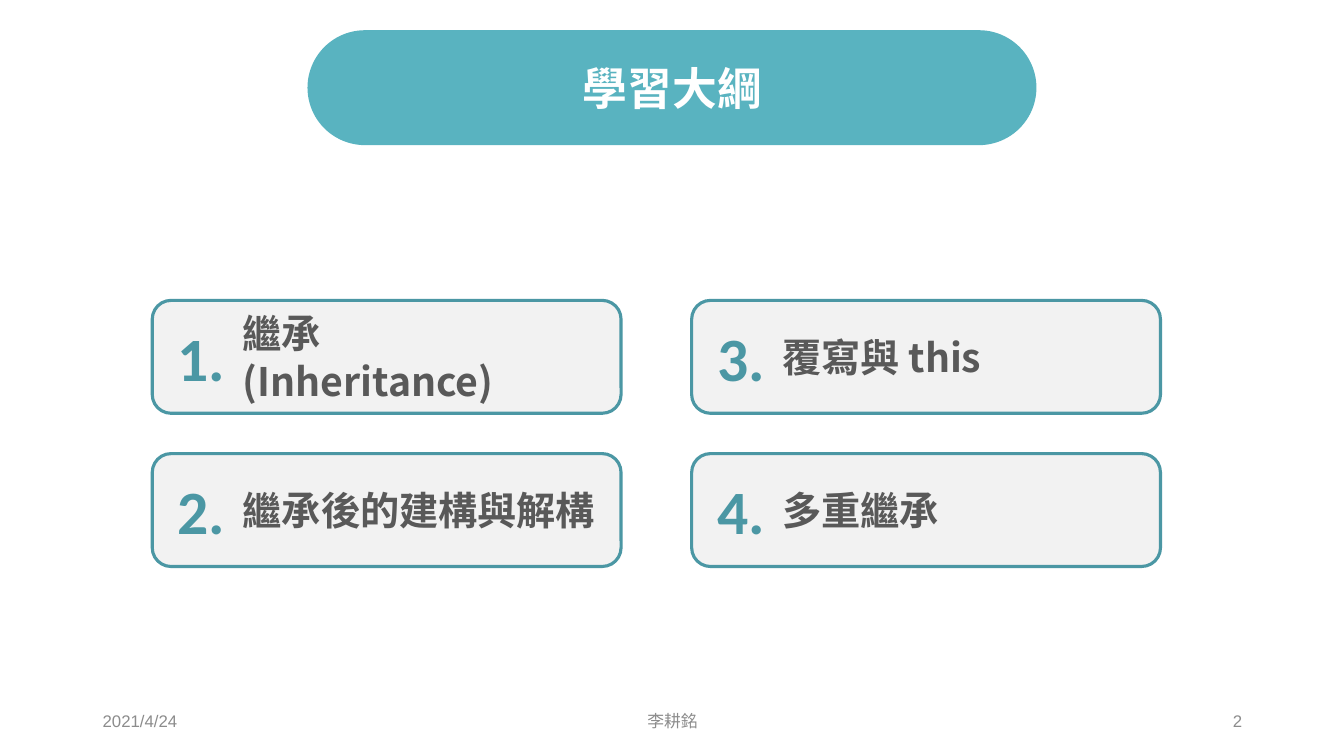
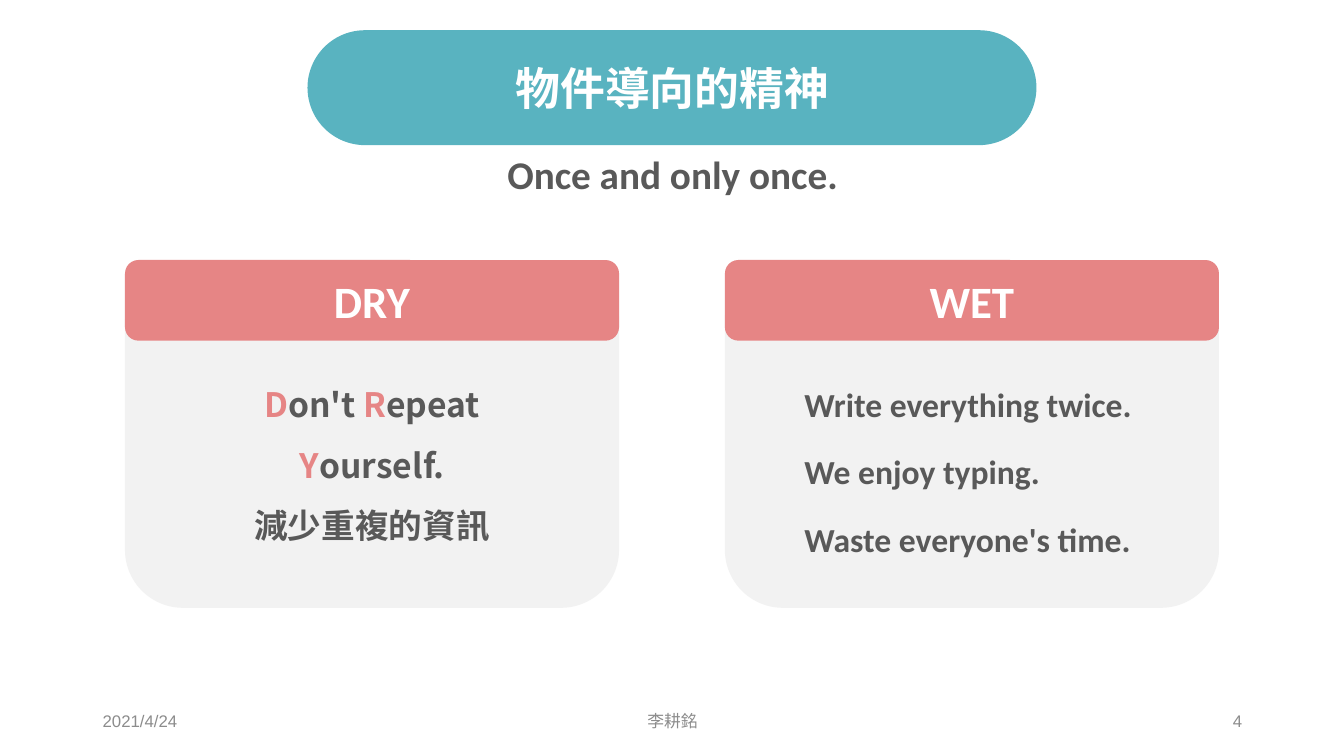
import dataclasses
import typing

import lxml.etree
import pptx
import pptx.dml.color
import pptx.enum.shapes
import pptx.enum.text
import pptx.oxml.ns
import pptx.util

Inches = pptx.util.Inches
Align = pptx.enum.text.PP_ALIGN
Anchor = pptx.enum.text.MSO_ANCHOR

TEAL, DEEP_TEAL, CORAL = "59B3C0", "4B97A4", "E68585"
PALE, DARK, MUTED, WHITE = "F2F2F2", "595959", "8C8C8C", "FFFFFF"
LATIN, CJK, FOOTER_FONT = "Calibri", "Noto Sans CJK TC", "Arial"
CARD_LEFT, CARD_TOP, CARD_WIDTH, CARD_HEIGHT = 1.51, 2.98, 4.65, 1.12
COLUMN_STEP, ROW_STEP, ROWS = 5.35, 1.52, 2
PANEL_TOP, PANEL_WIDTH, PANEL_HEIGHT, HEADER_HEIGHT = 2.58, 4.9, 3.45, 0.8


@dataclasses.dataclass(frozen=True)
class Box:
    """A rectangle on the slide, in inches."""
    left: float
    top: float
    width: float
    height: float

    def lengths(self) -> tuple:
        """Return the four measures as slide lengths."""
        return tuple(Inches(value) for value in dataclasses.astuple(self))


@dataclasses.dataclass(frozen=True)
class Style:
    """The look of a text and its paragraphs."""
    size: float
    font: str
    color: str
    bold: bool = True
    align: Align = Align.LEFT
    anchor: Anchor = Anchor.MIDDLE
    line_spacing: float = 1.0
    gap: float = 0


@dataclasses.dataclass(frozen=True)
class Run:
    """A piece of text, with its own colour if it has one."""
    text: str
    color: typing.Optional[str] = None


@dataclasses.dataclass(frozen=True)
class Topic:
    """One entry of the outline."""
    text: str
    width: float = 3.74


@dataclasses.dataclass(frozen=True)
class Panel:
    """A headed panel with its body text."""
    heading: str
    left: float
    body: Box
    lines: list
    style: Style


TITLE = Style(32, LATIN, WHITE, align=Align.CENTER)
NUMBER = Style(44, LATIN, DEEP_TEAL, align=Align.CENTER)
LABEL = Style(28, CJK, DARK)
MOTTO = Style(28, LATIN, DARK, align=Align.CENTER, anchor=Anchor.TOP)
DRY_BODY = Style(24, CJK, DARK, align=Align.CENTER, anchor=Anchor.TOP, line_spacing=1.5)
WET_BODY = Style(24, LATIN, DARK, anchor=Anchor.TOP, line_spacing=1.5, gap=5)

TITLE_BOX = Box(0.92, 0.3, 11.5, 1.14)
BAND_BOX = Box(3.05, 0.3, 7.23, 1.14)
MOTTO_BOX = Box(4.67, 1.44, 4, 0.57)

TOPICS = [
    Topic("繼承 (Inheritance)", 3.3),
    Topic("繼承後的建構與解構"),
    Topic("覆寫與 this"),
    Topic("多重繼承"),
]
PANELS = [
    Panel("DRY", 1.24, Box(1.99, 3.56, 3.4, 2), [
        [Run("D", CORAL), Run("on't "), Run("R", CORAL), Run("epeat "),
         Run("Y", CORAL), Run("ourself.")],
        [Run("減少重複的資訊")],
    ], DRY_BODY),
    Panel("WET", 7.19, Box(7.88, 3.56, 3.78, 2), [
        [Run("Write everything twice.")],
        [Run("We enjoy typing.")],
        [Run("Waste everyone's time.")],
    ], WET_BODY),
]


def rgb(color: str) -> pptx.dml.color.RGBColor:
    """Turn a hex string into a colour."""
    return pptx.dml.color.RGBColor.from_string(color)


def write(shape, lines: list, style: Style) -> None:
    """Fill a shape with paragraphs, run by run."""
    frame = shape.text_frame
    frame.auto_size = pptx.enum.text.MSO_AUTO_SIZE.NONE
    frame.word_wrap = True
    frame.vertical_anchor = style.anchor
    for index, pieces in enumerate(lines):
        paragraph = frame.add_paragraph() if index else frame.paragraphs[0]
        paragraph.alignment = style.align
        paragraph.line_spacing = style.line_spacing
        if index and style.gap:
            paragraph.space_before = pptx.util.Pt(style.gap)
        for piece in pieces:
            run = paragraph.add_run()
            run.text = piece.text
            run.font.size = pptx.util.Pt(style.size)
            run.font.bold = style.bold
            run.font.color.rgb = rgb(piece.color or style.color)
            run.font.name = style.font
            lxml.etree.SubElement(run._r.get_or_add_rPr(),
                                  pptx.oxml.ns.qn("a:ea"), typeface=CJK)


def add_text(slide, box: Box, lines: list, style: Style) -> None:
    """Add a text box."""
    write(slide.shapes.add_textbox(*box.lengths()), lines, style)


def add_rounded(slide, box: Box, fill: str, line: typing.Optional[str] = None):
    """Add a flat rounded rectangle, outlined if a line colour is given."""
    shape = slide.shapes.add_shape(
        pptx.enum.shapes.MSO_SHAPE.ROUNDED_RECTANGLE, *box.lengths())
    shape.shadow.inherit = False
    shape.fill.solid()
    shape.fill.fore_color.rgb = rgb(fill)
    if line:
        shape.line.color.rgb = rgb(line)
        shape.line.width = pptx.util.Pt(2.25)
    else:
        shape.line.fill.background()
    return shape


def add_slide(deck, heading: str, number: int):
    """Add a slide with the title band and the footer."""
    slide = deck.slides.add_slide(deck.slide_layouts[5])
    title = slide.shapes.title
    title.left, title.top, title.width, title.height = TITLE_BOX.lengths()
    write(title, [[Run(heading)]], TITLE)
    band = add_rounded(slide, BAND_BOX, TEAL)
    band.adjustments[0] = 0.5
    title.element.addprevious(band.element)
    footers = [
        (0.92, 3, "2021/4/24", Align.LEFT),
        (4.42, 4.5, "李耕銘", Align.CENTER),
        (9.42, 3, str(number), Align.RIGHT),
    ]
    for left, width, text, align in footers:
        style = Style(12, FOOTER_FONT, MUTED, bold=False, align=align)
        add_text(slide, Box(left, 6.95, width, 0.4), [[Run(text)]], style)
    return slide


def add_topic(slide, index: int, topic: Topic) -> None:
    """Add a numbered card, filling the grid column by column."""
    column, row = divmod(index, ROWS)
    left = CARD_LEFT + column * COLUMN_STEP
    top = CARD_TOP + row * ROW_STEP
    add_rounded(slide, Box(left, top, CARD_WIDTH, CARD_HEIGHT), PALE, DEEP_TEAL)
    add_text(slide, Box(left + 0.14, top, 0.7, CARD_HEIGHT),
             [[Run(f"{index + 1}.")]], NUMBER)
    add_text(slide, Box(left + 0.8, top, topic.width, CARD_HEIGHT),
             [[Run(topic.text)]], LABEL)


def add_panel(slide, panel: Panel) -> None:
    """Add a panel with its header and body."""
    add_rounded(slide, Box(panel.left, PANEL_TOP, PANEL_WIDTH, PANEL_HEIGHT), PALE)
    header = add_rounded(
        slide, Box(panel.left, PANEL_TOP, PANEL_WIDTH, HEADER_HEIGHT), CORAL)
    write(header, [[Run(panel.heading)]], TITLE)
    add_text(slide, panel.body, panel.lines, panel.style)


def main() -> None:
    """Build and save the deck."""
    deck = pptx.Presentation()
    deck.slide_width, deck.slide_height = Inches(13.33), Inches(7.5)
    outline = add_slide(deck, "學習大綱", 2)
    for index, topic in enumerate(TOPICS):
        add_topic(outline, index, topic)
    spirit = add_slide(deck, "物件導向的精神", 4)
    add_text(spirit, MOTTO_BOX, [[Run("Once and only once.")]], MOTTO)
    for panel in PANELS:
        add_panel(spirit, panel)
    deck.save("out.pptx")


if __name__ == "__main__":
    main()
